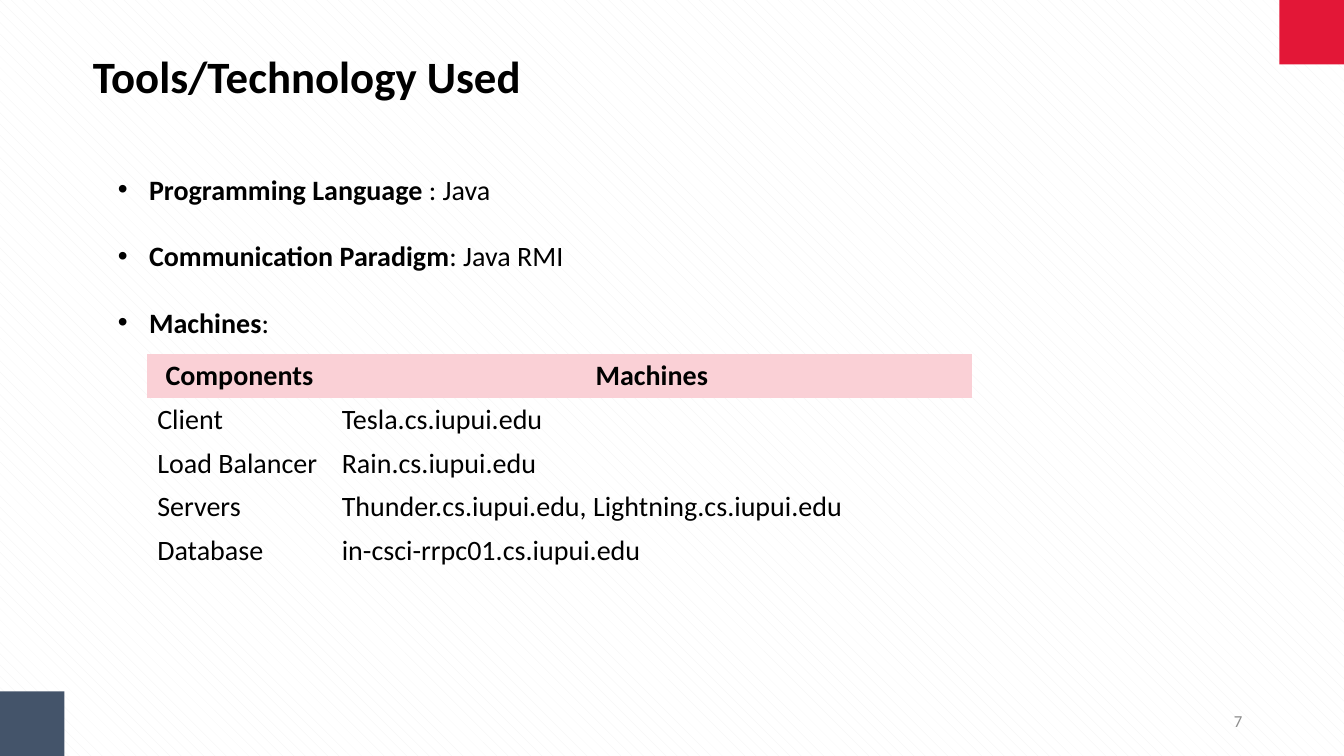
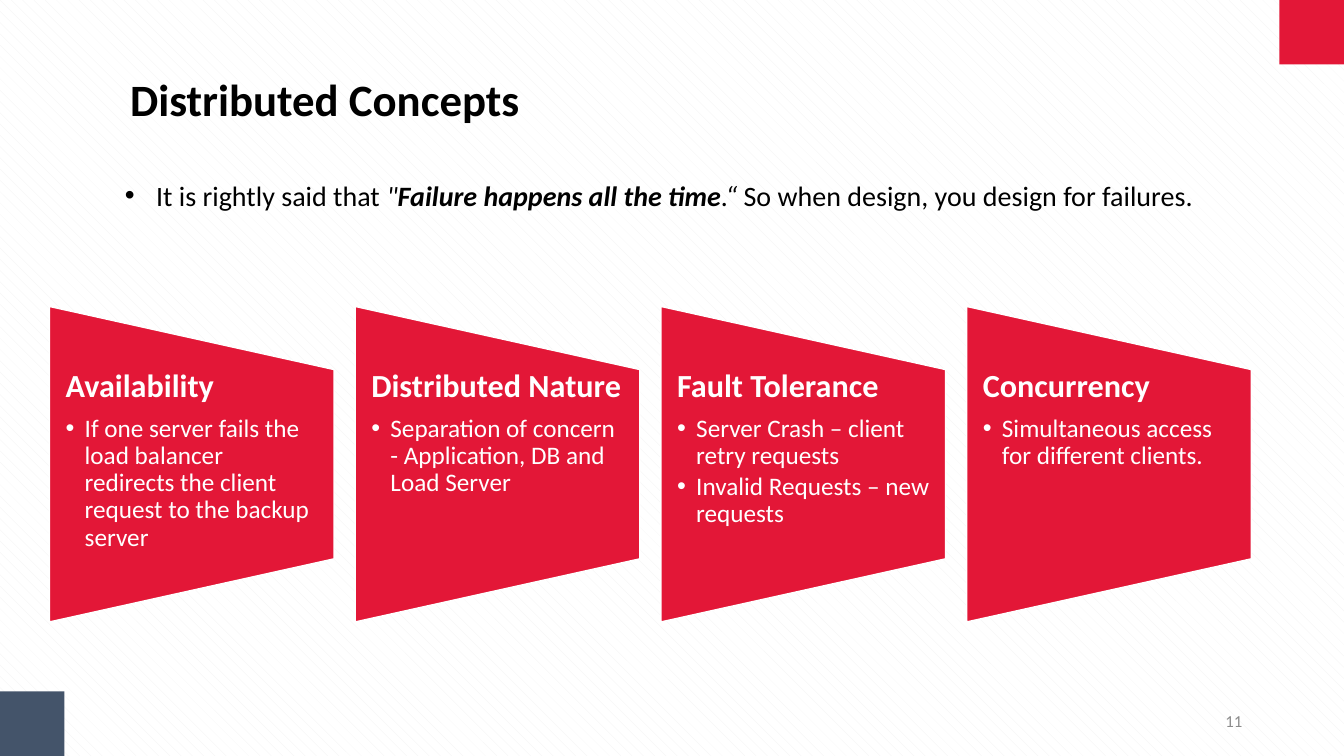
from lxml import etree
from pptx import Presentation
from pptx.dml.color import RGBColor
from pptx.enum.dml import MSO_PATTERN
from pptx.enum.shapes import MSO_SHAPE
from pptx.enum.text import MSO_ANCHOR, MSO_AUTO_SIZE, PP_ALIGN
from pptx.oxml.ns import qn
from pptx.util import Inches, Pt

RECTANGLE = MSO_SHAPE.RECTANGLE
TRAPEZOID = MSO_SHAPE.FLOWCHART_MANUAL_OPERATION
LEFT, CENTER, RIGHT = PP_ALIGN.LEFT, PP_ALIGN.CENTER, PP_ALIGN.RIGHT
TOP, MIDDLE = MSO_ANCHOR.TOP, MSO_ANCHOR.MIDDLE

FONT = "Calibri"
COLORS = {
    "text": "000000",
    "white": "FFFFFF",
    "stripe": "F2F2F2",
    "red": "E31737",
    "slate": "44546A",
    "pink": "FAD0D6",
    "number": "8C8C8C",
}
SLIDE_WIDTH, SLIDE_HEIGHT = 13.33, 7.5
CORNER = 0.64
TITLE_ONLY = 5
NO_GRID_STYLE = "{2D5ABB26-0587-4C30-8999-92F81FD0307C}"

TECHNOLOGIES = [
    [("Programming Language ", "b"), (": Java", "")],
    [("Communication Paradigm", "b"), (": Java RMI", "")],
    [("Machines", "b"), (":", "")],
]
MACHINES = [
    ("Components", "Machines"),
    ("Client", "Tesla.cs.iupui.edu"),
    ("Load Balancer", "Rain.cs.iupui.edu"),
    ("Servers", "Thunder.cs.iupui.edu, Lightning.cs.iupui.edu"),
    ("Database", "in-csci-rrpc01.cs.iupui.edu"),
]
FAILURE_STATEMENT = [[
    ("It is rightly said that ", ""),
    ("\"", "i"),
    ("Failure happens all the time", "bi"),
    (".“", "i"),
    (" So when design, you design for failures.", ""),
]]
CONCEPTS = [
    ("Availability", ["If one server fails the load balancer redirects "
                      "the client request to the backup server"]),
    ("Distributed Nature", ["Separation of concern - Application, DB and Load Server"]),
    ("Fault Tolerance", ["Server Crash – client retry requests",
                         "Invalid Requests – new requests"]),
    ("Concurrency", ["Simultaneous access for different clients."]),
]


def color(name):
    return RGBColor.from_string(COLORS[name])


def add_run(paragraph, text, size, color_name="text", style=""):
    """Add a run; style may hold b for bold and i for italic."""
    run = paragraph.add_run()
    run.text = text
    font = run.font
    font.name, font.size = FONT, Pt(size)
    font.bold, font.italic = "b" in style, "i" in style
    font.color.rgb = color(color_name)


def add_bullet(paragraph, indent):
    properties = paragraph._p.get_or_add_pPr()
    properties.set("marL", str(Inches(indent)))
    properties.set("indent", str(-Inches(indent)))
    etree.SubElement(properties, qn("a:buFont")).set("typeface", "Arial")
    etree.SubElement(properties, qn("a:buChar")).set("char", "•")


def add_text_frame(slide, box, anchor=TOP):
    frame = slide.shapes.add_textbox(*map(Inches, box)).text_frame
    frame.word_wrap = True
    frame.vertical_anchor = anchor
    return frame


def next_paragraph(frame, index):
    return frame.add_paragraph() if index else frame.paragraphs[0]


def add_filled_shape(slide, kind, box, color_name):
    shape = slide.shapes.add_shape(kind, *map(Inches, box))
    shape.shadow.inherit = False
    shape.fill.solid()
    shape.fill.fore_color.rgb = color(color_name)
    shape.line.fill.background()
    return shape


def set_background(presentation):
    fill = presentation.slide_master.background.fill
    fill.patterned()
    fill.pattern = MSO_PATTERN.SHINGLE
    fill.fore_color.rgb = color("stripe")
    fill.back_color.rgb = color("white")


def add_slide(presentation, title_text, title_box, number):
    slide = presentation.slides.add_slide(presentation.slide_layouts[TITLE_ONLY])

    # Title
    title = slide.shapes.title
    title.left, title.top, title.width, title.height = map(Inches, title_box)
    frame = title.text_frame
    frame.auto_size = MSO_AUTO_SIZE.NONE
    frame.word_wrap = True
    frame.vertical_anchor = TOP
    paragraph = frame.paragraphs[0]
    paragraph.alignment = LEFT
    add_run(paragraph, title_text, 32, style="b")

    # Slide number
    paragraph = add_text_frame(slide, (9.42, 6.95, 3, 0.4), MIDDLE).paragraphs[0]
    paragraph.alignment = RIGHT
    add_run(paragraph, number, 12, "number")

    # Corner squares
    add_filled_shape(slide, RECTANGLE, (SLIDE_WIDTH - CORNER, 0, CORNER, CORNER), "red")
    add_filled_shape(slide, RECTANGLE, (0, SLIDE_HEIGHT - CORNER, CORNER, CORNER), "slate")
    return slide


def add_bullet_list(slide, box, items):
    frame = add_text_frame(slide, box)
    for index, runs in enumerate(items):
        paragraph = next_paragraph(frame, index)
        add_bullet(paragraph, 0.31)
        if index:
            paragraph.space_before = Pt(23.5)
        for text, style in runs:
            add_run(paragraph, text, 20, style=style)


def add_machine_table(slide, box, column_widths, rows):
    table = slide.shapes.add_table(len(rows), len(column_widths), *map(Inches, box)).table
    table.horz_banding = False
    table._tbl.tblPr.find(qn("a:tableStyleId")).text = NO_GRID_STYLE
    for column, width in zip(table.columns, column_widths):
        column.width = Inches(width)
    for row_index, texts in enumerate(rows):
        table.rows[row_index].height = Inches(box[3] / len(rows))
        is_header = row_index == 0
        for column_index, text in enumerate(texts):
            cell = table.cell(row_index, column_index)
            paragraph = cell.text_frame.paragraphs[0]
            paragraph.alignment = CENTER if is_header else LEFT
            add_run(paragraph, text, 20, style="b" if is_header else "")
            if is_header:
                cell.fill.solid()
                cell.fill.fore_color.rgb = color("pink")
            else:
                cell.fill.background()


def add_concept_panel(slide, box, heading, points):
    left, top, width, height = box

    # Trapezoid turned on its side, so its own width is the panel height
    offset = (height - width) / 2
    panel = add_filled_shape(
        slide, TRAPEZOID, (left - offset, top + offset, height, width), "red")
    panel.rotation = 270
    panel.line.color.rgb = color("white")
    panel.line.width = Pt(1)

    # Heading and points in the middle three fifths
    frame = add_text_frame(slide, (left, top + height / 5, width, height * 3 / 5))
    frame.margin_left = frame.margin_right = Inches(0.16)
    frame.margin_top = frame.margin_bottom = 0
    for index, text in enumerate([heading, *points]):
        paragraph = next_paragraph(frame, index)
        if index:
            paragraph.level = 1
            add_bullet(paragraph, 0.19)
        paragraph.line_spacing = 0.9
        paragraph.space_after = Pt(2.5 if index else 8)
        add_run(paragraph, text, 18 if index else 23, "white", "" if index else "b")


def add_concept_row(slide, box, concepts, gap):
    left, top, width, height = box
    panel_width = (width - gap * (len(concepts) - 1)) / len(concepts)
    for index, (heading, points) in enumerate(concepts):
        panel_left = left + index * (panel_width + gap)
        add_concept_panel(slide, (panel_left, top, panel_width, height), heading, points)


def build_tools_slide(presentation):
    slide = add_slide(presentation, "Tools/Technology Used", (0.82, 0.43, 4.73, 0.64), "7")
    add_bullet_list(slide, (1.07, 1.66, 11.28, 1.78), TECHNOLOGIES)
    add_machine_table(slide, (1.46, 3.51, 8.18, 2.17), (1.83, 6.35), MACHINES)


def build_concepts_slide(presentation):
    slide = add_slide(presentation, "Distributed Concepts", (1.19, 0.66, 8.7, 0.64), "11")
    add_bullet_list(slide, (1.14, 1.72, 11.28, 0.74), FAILURE_STATEMENT)
    add_concept_row(slide, (0.49, 3.04, 11.92, 3.13), CONCEPTS, 0.21)


def main():
    presentation = Presentation()
    presentation.slide_width = Inches(SLIDE_WIDTH)
    presentation.slide_height = Inches(SLIDE_HEIGHT)
    set_background(presentation)
    build_tools_slide(presentation)
    build_concepts_slide(presentation)
    presentation.save("out.pptx")


if __name__ == "__main__":
    main()
